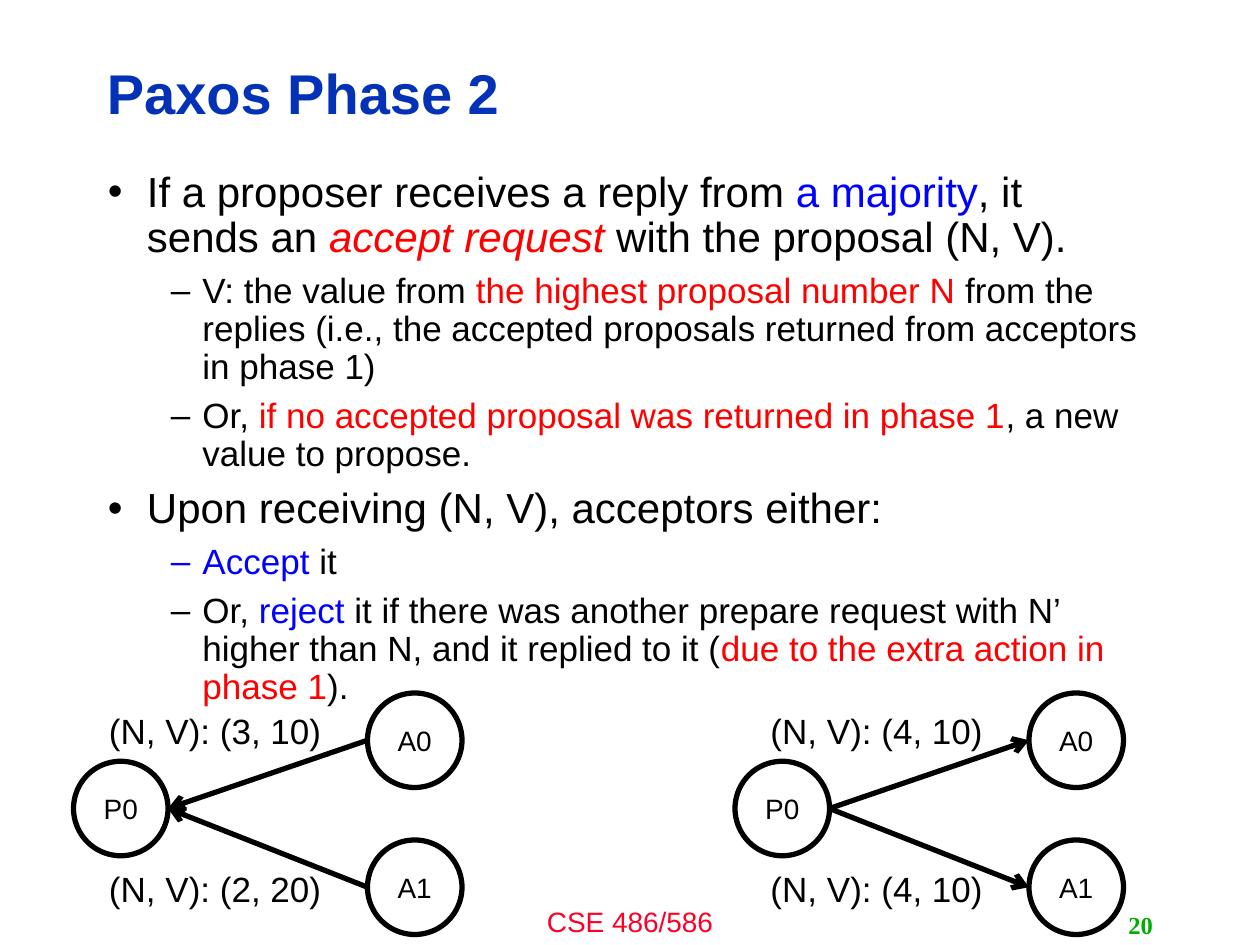
from lxml import etree
from pptx import Presentation
from pptx.dml.color import RGBColor
from pptx.enum.shapes import MSO_CONNECTOR, MSO_SHAPE
from pptx.enum.text import MSO_ANCHOR, PP_ALIGN
from pptx.oxml.ns import qn
from pptx.util import Inches, Pt

COLORS = {
    "title": "0332B7", "black": "000000", "blue": "0000FF", "red": "FF0000",
    "footer": "FC0128", "number": "00AE00", "white": "FFFFFF",
}
CELL = Inches(1) / 12
NODE = 9
LEVELS = [
    {"bullet": "•", "margin": 0.31, "hang": 0.31, "size": 24, "before": 7.8},
    {"bullet": "–", "margin": 0.75, "hang": 0.25, "size": 20, "before": 6.6},
]
POINTS = [
    (0, [("If a proposer receives a reply from ", "black"), ("a majority", "blue"),
         (", it sends an ", "black"), ("accept request", "red", True),
         (" with the proposal (N, V).", "black")]),
    (1, [("V: the value from ", "black"), ("the highest proposal number N ", "red"),
         ("from the replies (i.e., the accepted proposals returned from "
          "acceptors in phase 1)", "black")]),
    (1, [("Or, ", "black"), ("if no accepted proposal was returned in phase 1", "red"),
         (", a new value to propose.", "black")]),
    (0, [("Upon receiving (N, V), acceptors either:", "black")]),
    (1, [("Accept", "blue"), (" it", "black")]),
    (1, [("Or, ", "black"), ("reject", "blue"),
         (" it if there was another prepare request with N’ higher than N, "
          "and it replied to it (", "black"),
         ("due to the extra action in phase 1", "red"), (").", "black")]),
]


def rgb(color):
    """Return the named colour."""
    return RGBColor.from_string(COLORS[color])


def grid(*cells):
    """Turn grid cells into lengths."""
    return [round(cell * CELL) for cell in cells]


def style(font, size, color, bold=False, italic=False, name="Arial"):
    """Set the look of a font."""
    font.name, font.size = name, Pt(size)
    font.bold, font.italic = bold, italic
    font.color.rgb = rgb(color)


def add_line(shapes, box, text, size, color, align=PP_ALIGN.CENTER,
             anchor=MSO_ANCHOR.TOP, **look):
    """Place one line of text in a box of grid cells."""
    frame = shapes.add_textbox(*grid(*box)).text_frame
    frame.word_wrap = False
    frame.vertical_anchor = anchor
    frame.text = text
    line = frame.paragraphs[0]
    line.alignment = align
    style(line.runs[0].font, size, color, **look)
    return line


def add_title(slide, box):
    """Place the slide title."""
    title = add_line(slide.shapes, box, "Paxos Phase 2", 32, "title",
                     PP_ALIGN.LEFT, MSO_ANCHOR.MIDDLE, bold=True)
    title.line_spacing = 0.9


def add_points(slide, box):
    """Place the two-level bullet list."""
    frame = slide.shapes.add_textbox(*grid(*box)).text_frame
    frame.word_wrap = True
    for index, (depth, parts) in enumerate(POINTS):
        level = LEVELS[depth]
        point = frame.add_paragraph() if index else frame.paragraphs[0]
        point.level = depth
        point.line_spacing = 0.9
        point.space_before = Pt(level["before"] if index else 0)
        properties = point._p.get_or_add_pPr()
        properties.set("marL", str(Inches(level["margin"])))
        properties.set("indent", str(-Inches(level["hang"])))
        etree.SubElement(properties, qn("a:buFont"), typeface="Arial")
        etree.SubElement(properties, qn("a:buChar"), char=level["bullet"])
        for words, color, *italic in parts:
            run = point.add_run()
            run.text = words
            style(run.font, level["size"], color, italic=bool(italic))


def add_node(shapes, left, top, name):
    """Place one named process circle."""
    node = shapes.add_shape(MSO_SHAPE.OVAL, *grid(left, top, NODE, NODE))
    node.shadow.inherit = False
    node.fill.solid()
    node.fill.fore_color.rgb = rgb("white")
    node.line.color.rgb = rgb("black")
    node.line.width = Pt(3)
    frame = node.text_frame
    frame.word_wrap = False
    frame.vertical_anchor = MSO_ANCHOR.MIDDLE
    frame.text = name
    frame.paragraphs[0].alignment = PP_ALIGN.CENTER
    style(frame.paragraphs[0].runs[0].font, 16, "black")


def add_message(shapes, start, end, arrow_end):
    """Draw one message arrow between two grid points."""
    message = shapes.add_connector(MSO_CONNECTOR.STRAIGHT, *grid(*start, *end))
    message.line.color.rgb = rgb("black")
    message.line.width = Pt(3)
    etree.SubElement(message.line._get_or_add_ln(), qn(f"a:{arrow_end}"), type="arrow")
    etree.SubElement(message._element.spPr, qn("a:effectLst"))


def add_exchange(slide, left, top, labels, arrow_end):
    """Group a proposer, two acceptors and their messages."""
    shapes = slide.shapes.add_group_shape().shapes
    proposer_top = top + 6.5
    acceptor_left = left + 28
    proposer_edge = (left + NODE, proposer_top + NODE / 2)
    add_node(shapes, left, proposer_top, "P0")
    rows = zip(("A0", "A1"), (top, top + 14), (top + 1, top + 16), labels)
    for name, node_top, label_top, label in rows:
        add_message(shapes, proposer_edge, (acceptor_left, node_top + NODE / 2), arrow_end)
        add_node(shapes, acceptor_left, node_top, name)
        add_line(shapes, (left + 2, label_top, 23, 5.25), label, 20, "black")


def add_footer(slide, top):
    """Place the course name and the slide number."""
    add_line(slide.shapes, (40, top, 40, 4.4), "CSE 486/586", 16, "footer")
    add_line(slide.shapes, (86, top + 0.6, 25, 3.8), "20", 14, "number",
             PP_ALIGN.RIGHT, MSO_ANCHOR.MIDDLE, bold=True, name="Times New Roman")


def main():
    """Build and save the slide."""
    deck = Presentation()
    deck.slide_width, deck.slide_height = grid(120, 90)
    slide = deck.slides.add_slide(deck.slide_layouts[6])
    add_footer(slide, 85.6)
    add_title(slide, (9, 4.3, 95.8, 9.7))
    add_points(slide, (9.1, 15.7, 100.8, 64.7))
    add_exchange(slide, 70, 66, ("(N, V): (4, 10)", "(N, V): (4, 10)"), "tailEnd")
    add_exchange(slide, 7, 66, ("(N, V): (3, 10)", "(N, V): (2, 20)"), "headEnd")
    deck.save("out.pptx")


if __name__ == "__main__":
    main()
